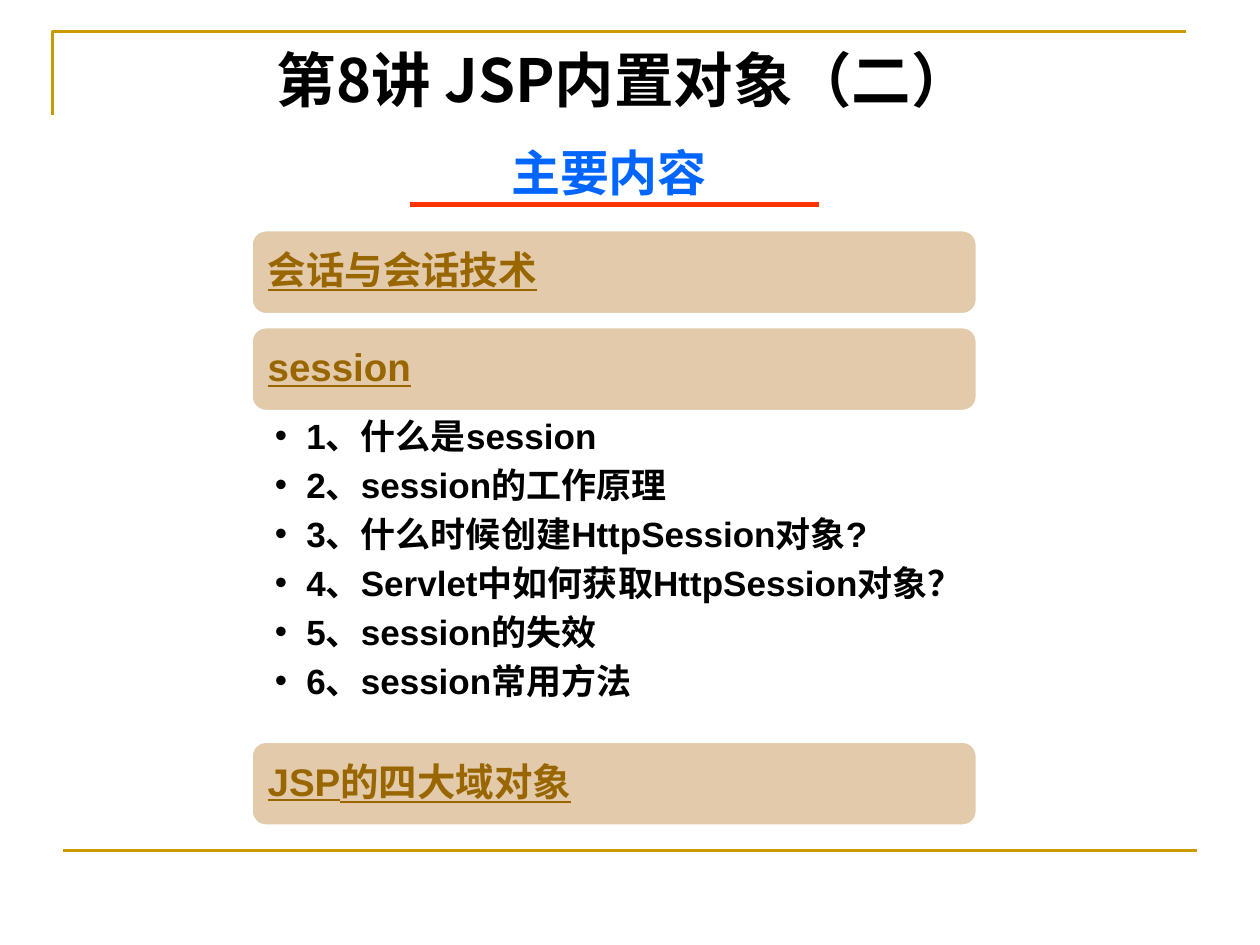
from lxml.etree import SubElement
from pptx import Presentation
from pptx.dml.color import RGBColor
from pptx.enum.shapes import MSO_CONNECTOR, MSO_SHAPE
from pptx.enum.text import MSO_ANCHOR, MSO_AUTO_SIZE, PP_ALIGN
from pptx.oxml.ns import qn
from pptx.util import Pt

GOLD = RGBColor(0xCC, 0x99, 0x00)
BLACK = RGBColor(0, 0, 0)
WHITE = RGBColor(0xFF, 0xFF, 0xFF)
BLUE = RGBColor(0x00, 0x66, 0xFF)
RED = RGBColor(0xFF, 0x33, 0x00)
TAN = RGBColor(0xE2, 0xCA, 0xAA)
BROWN = RGBColor(0x99, 0x66, 0x00)
LATIN = "Arial"
HAN = "Noto Sans CJK SC"

BARS = [(131.8, "会话与会话技术"), (187.2, "session"), (424.1, "JSP的四大域对象")]
POINTS = [
    "1、什么是session",
    "2、session的工作原理",
    "3、什么时候创建HttpSession对象?",
    "4、Servlet中如何获取HttpSession对象？",
    "5、session的失效",
    "6、session常用方法",
]


class Deck:
    def __init__(self):
        self.prs = Presentation()
        self.prs.slide_width, self.prs.slide_height = Pt(720), Pt(540)
        self.slide = self.prs.slides.add_slide(self.prs.slide_layouts[1])
        self.shapes = self.slide.shapes

    def run(self, para, text, size, color, font=LATIN, under=None):
        run = para.add_run()
        run.text = text
        face = run.font
        face.name, face.size, face.bold = font, Pt(size), True
        face.underline = under
        face.color.rgb = color
        SubElement(run.font._element, qn("a:ea"), typeface=HAN)

    def mark(self, para, indent=0, char=None):
        """Set the hanging indent and the bullet, or no bullet."""
        props = para._p.get_or_add_pPr()
        props.set("marL", str(Pt(indent)))
        props.set("indent", str(-Pt(indent)))
        if char:
            SubElement(props, qn("a:buFont"), typeface=LATIN)
            SubElement(props, qn("a:buChar"), char=char)
        else:
            SubElement(props, qn("a:buNone"))

    def frame(self, shape, pads, anchor=MSO_ANCHOR.TOP):
        frame = shape.text_frame
        frame.word_wrap = True
        frame.auto_size = MSO_AUTO_SIZE.NONE
        frame.vertical_anchor = anchor
        (frame.margin_left, frame.margin_top,
         frame.margin_right, frame.margin_bottom) = map(Pt, pads)
        return frame

    def holder(self, index, box, text, size, color, font=LATIN, space=1.0):
        """Fill a template placeholder with one centred line."""
        shape = self.slide.placeholders[index]
        shape.left, shape.top, shape.width, shape.height = map(Pt, box)
        para = self.frame(shape, (7.2, 3.6, 7.2, 3.6)).paragraphs[0]
        para.alignment = PP_ALIGN.CENTER
        para.line_spacing = space
        para.space_before = Pt(0)
        self.mark(para)
        self.run(para, text, size, color, font)

    def line(self, left, right, top, color, width):
        line = self.shapes.add_connector(
            MSO_CONNECTOR.STRAIGHT, Pt(left), Pt(top), Pt(right), Pt(top))
        line.line.color.rgb = color
        line.line.width = Pt(width)
        SubElement(line._element.spPr, qn("a:effectLst"))

    def corner(self, left, top, right, bottom):
        path = self.shapes.build_freeform(Pt(left), Pt(bottom))
        path.add_line_segments(
            [(Pt(left), Pt(top)), (Pt(right), Pt(top))], close=False)
        shape = path.convert_to_shape()
        shape.shadow.inherit = False
        shape.fill.background()
        shape.line.color.rgb = GOLD
        shape.line.width = Pt(1.5)

    def bar(self, left, top, width, height, text):
        shape = self.shapes.add_shape(
            MSO_SHAPE.ROUNDED_RECTANGLE, Pt(left), Pt(top), Pt(width), Pt(height))
        shape.shadow.inherit = False
        shape.fill.solid()
        shape.fill.fore_color.rgb = TAN
        shape.line.color.rgb = WHITE
        shape.line.width = Pt(1)
        inset = 2.4
        label = self.shapes.add_textbox(
            Pt(left + inset), Pt(top + inset),
            Pt(width - 2 * inset), Pt(height - 2 * inset))
        para = self.frame(label, [6.6] * 4, MSO_ANCHOR.MIDDLE).paragraphs[0]
        para.line_spacing = 0.9
        self.run(para, text, 22, BROWN, under=True)

    def bullets(self, box, items):
        frame = self.frame(
            self.shapes.add_textbox(*map(Pt, box)), (13, 2.2, 11.5, 2.2))
        for i, item in enumerate(items):
            para = frame.add_paragraph() if i else frame.paragraphs[0]
            para.level = 1
            para.line_spacing = Pt(24)
            para.space_after = Pt(4)
            self.mark(para, 18, "•")
            self.run(para, item, 20, BLACK)


def main():
    deck = Deck()
    deck.corner(30, 18, 678, 66)
    deck.line(36, 684, 486, GOLD, 1.5)
    deck.holder(0, (103, 21, 507, 81), "第8讲 JSP内置对象（二）", 34, BLACK, HAN)
    deck.holder(1, (24, 61, 648, 396), "主要内容", 28, BLUE, space=1.5)
    deck.line(234, 468, 117, RED, 3)
    for top, text in BARS:
        deck.bar(144, top, 414, 47.5, text)
    deck.bullets((144, 234.7, 414, 188), POINTS)
    deck.prs.save("out.pptx")


if __name__ == "__main__":
    main()
